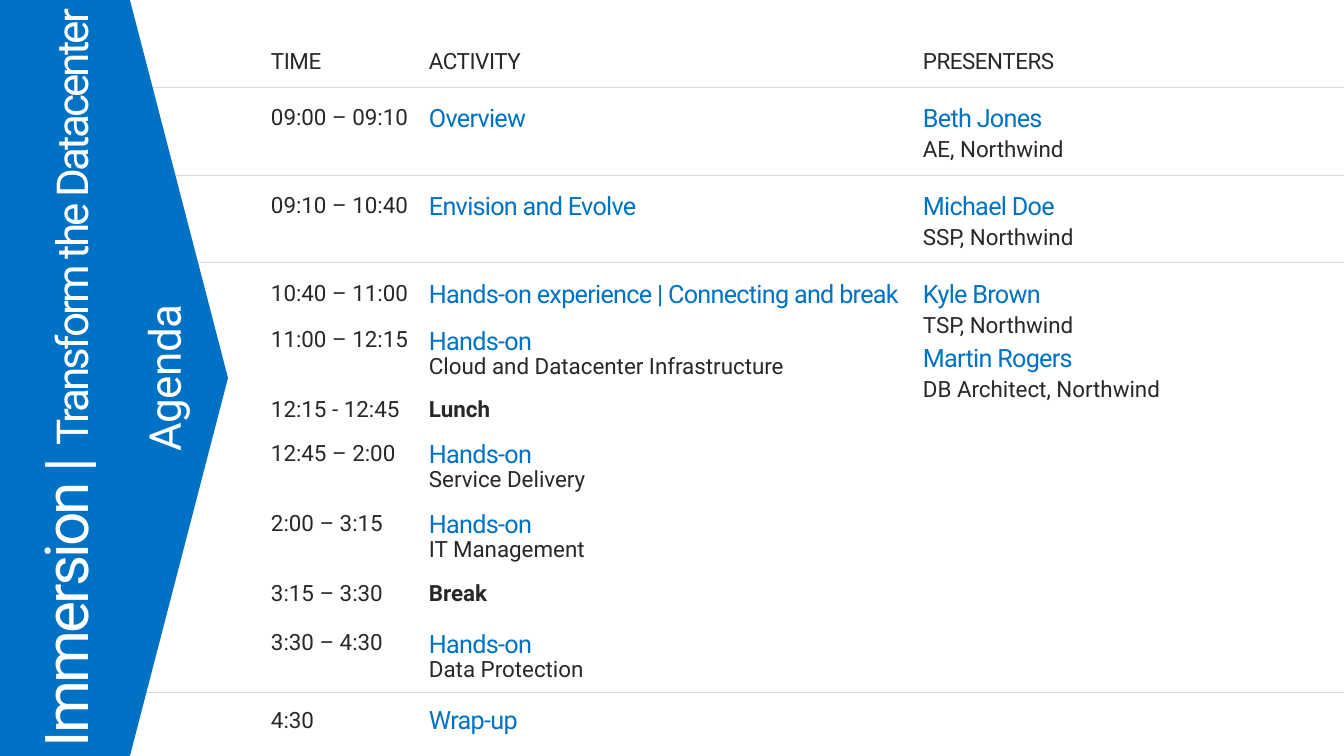
from lxml.etree import SubElement
from pptx import Presentation
from pptx.dml.color import RGBColor
from pptx.enum.shapes import MSO_CONNECTOR, MSO_SHAPE
from pptx.enum.text import MSO_ANCHOR, MSO_AUTO_SIZE, PP_ALIGN
from pptx.oxml.ns import qn
from pptx.util import Emu, Pt

COLORS = {"blue": "0072C6", "ink": "282828", "rule": "D9D9D9", "white": "FFFFFF"}
FONT = "Roboto"
NO_TABLE_STYLE = "{2D5ABB26-0587-4C30-8999-92F81FD0307C}"

# Text styles: size, colour, bold, letter spacing in points
STYLES = {
    "head": (16, "ink", False, -0.3),
    "body": (16, "ink", False, 0),
    "bold": (16, "ink", True, 0),
    "topic": (18, "blue", False, -0.5),
    "brand": (43.1, "white", False, -2),
    "subject": (31.4, "white", False, -2),
    "agenda": (31.4, "white", False, -0.5),
}

TITLE = [("Immersion | ", "brand"), ("Transform the Datacenter", "subject")]
HEADINGS = ["TIME", "ACTIVITY", "PRESENTERS"]
# Row height, top and bottom margin, time, activity, presenters
HANDS_ON = ("Hands-on", "topic")
SESSIONS = [
    (88, 16, 16, "09:00 – 09:10", [("Overview", "topic")],
     [("Beth Jones", "AE, Northwind")]),
    (88, 16, 16, "09:10 – 10:40", [("Envision and Evolve", "topic")],
     [("Michael Doe", "SSP, Northwind")]),
    (52, 16, 10, "10:40 – 11:00",
     [("Hands-on experience | Connecting and break", "topic")],
     [("Kyle Brown", "TSP, Northwind"),
      ("Martin Rogers", "DB Architect, Northwind")]),
    (70, 10, 10, "11:00 – 12:15",
     [HANDS_ON, ("Cloud and Datacenter Infrastructure", "body")], []),
    (43, 10, 10, "12:15 - 12:45", [("Lunch", "bold")], []),
    (70, 10, 10, "12:45 – 2:00", [HANDS_ON, ("Service Delivery", "body")], []),
    (70, 10, 10, "2:00 – 3:15", [HANDS_ON, ("IT Management", "body")], []),
    (49, 10, 16, "3:15 – 3:30", [("Break", "bold")], []),
    (76, 10, 16, "3:30 – 4:30", [HANDS_ON, ("Data Protection", "body")], []),
    (52, 10, 16, "4:30", [("Wrap-up", "topic")], []),
]
HEAD_HEIGHT = 55
COLUMNS = [168, 494, 346]
TABLE_LEFT, TABLE_TOP = 251, 35
SHARED_PRESENTERS_ROW = 3
BACK_RULES = [(134, 692, 1360), (178, 262, 1344)]
FRONT_RULES = [(169, 175, 1344), (152, 87, 1344)]


def px(n):
    return Emu(round(n * 12192000 / 1344))


def rgb(name):
    return RGBColor.from_string(COLORS[name])


def add_run(p, text, style):
    size, color, bold, spacing = STYLES[style]
    r = p.add_run()
    r.text = text
    for name, value in {"name": FONT, "size": Pt(size), "bold": bold}.items():
        setattr(r.font, name, value)
    r.font.color.rgb = rgb(color)
    r.font._element.set("spc", str(round(spacing * 100)))


def write(tf, paragraphs, align=PP_ALIGN.LEFT):
    """Fill a frame with paragraphs, each a (space before, runs) pair."""
    for i, (before, runs) in enumerate(paragraphs):
        p = tf.paragraphs[0] if i == 0 else tf.add_paragraph()
        p.alignment, p.line_spacing = align, 0.9
        p.space_before = Pt(before)
        for text, style in runs:
            add_run(p, text, style)


def add_rules(s, rules):
    for left, y, right in rules:
        line = s.shapes.add_connector(
            MSO_CONNECTOR.STRAIGHT, px(left), px(y), px(right), px(y))
        line.line.color.rgb = rgb("rule")
        line.line.width = Pt(0.5)
        SubElement(line._element.spPr, qn("a:effectLst"))


def presenter_lines(people):
    lines = []
    for i, (name, role) in enumerate(people):
        lines += [(6 if i else 0, [(name, "topic")]), (4, [(role, "body")])]
    return lines


def add_schedule(s):
    rows = [(HEAD_HEIGHT, 16, 16, [[(0, [(h, "head")])] for h in HEADINGS])]
    for height, top, bottom, time, activity, people in SESSIONS:
        rows.append((height, top, bottom, [
            [(0, [(time, "body")])],
            [(0, [line]) for line in activity],
            presenter_lines(people)]))
    frame = s.shapes.add_table(
        len(rows), len(COLUMNS), px(TABLE_LEFT), px(TABLE_TOP),
        px(sum(COLUMNS)), px(sum(row[0] for row in rows)))
    table = frame.table
    table.first_row = table.horz_banding = False
    table._tbl.tblPr.find(qn("a:tableStyleId")).text = NO_TABLE_STYLE
    for column, width in zip(table.columns, COLUMNS):
        column.width = px(width)
    for i, (height, top, bottom, texts) in enumerate(rows):
        table.rows[i].height = px(height)
        for j, paragraphs in enumerate(texts):
            cell = table.cell(i, j)
            cell.fill.background()
            margins = {"left": 10 if j else 20, "right": 10, "top": top,
                       "bottom": 16 if j == 2 else bottom}
            for side, value in margins.items():
                setattr(cell, f"margin_{side}", px(value))
            write(cell.text_frame, paragraphs)
    table.cell(SHARED_PRESENTERS_ROW, 2).merge(table.cell(len(rows) - 1, 2))
    table.cell(len(rows) - 1, 0).vertical_anchor = MSO_ANCHOR.MIDDLE


def set_vertical_text(sp, box, runs, auto_size):
    """Place a box turned to read upwards and fill it."""
    for name, value in zip(("left", "top", "width", "height"), box):
        setattr(sp, name, px(value))
    sp.rotation = 270
    tf = sp.text_frame
    settings = {"word_wrap": True, "auto_size": auto_size,
                "vertical_anchor": MSO_ANCHOR.TOP, "margin_left": 0,
                "margin_right": 0, "margin_top": 0, "margin_bottom": 0}
    for name, value in settings.items():
        setattr(tf, name, value)
    write(tf, [(0, runs)], PP_ALIGN.CENTER)


def main():
    prs = Presentation()
    prs.slide_width, prs.slide_height = px(1344), px(756)
    s = prs.slides.add_slide(prs.slide_layouts[5])

    add_rules(s, BACK_RULES)
    add_schedule(s)
    add_rules(s, FRONT_RULES)

    banner = s.shapes.add_shape(MSO_SHAPE.PENTAGON, 0, 0, px(228), px(756))
    banner.adjustments[0] = 0.43
    banner.shadow.inherit = False
    banner.fill.solid()
    banner.fill.fore_color.rgb = rgb("blue")
    banner.line.fill.background()

    agenda = s.shapes.add_textbox(0, 0, 0, 0)
    set_vertical_text(agenda, (40, 354, 254, 48), [("Agenda", "agenda")],
                      MSO_AUTO_SIZE.SHAPE_TO_FIT_TEXT)
    title = s.shapes.title
    set_vertical_text(title, (-293, 329, 756, 98), TITLE, MSO_AUTO_SIZE.NONE)
    s.shapes._spTree.append(title._element)  # bring in front of the banner

    prs.save("out.pptx")


if __name__ == "__main__":
    main()
